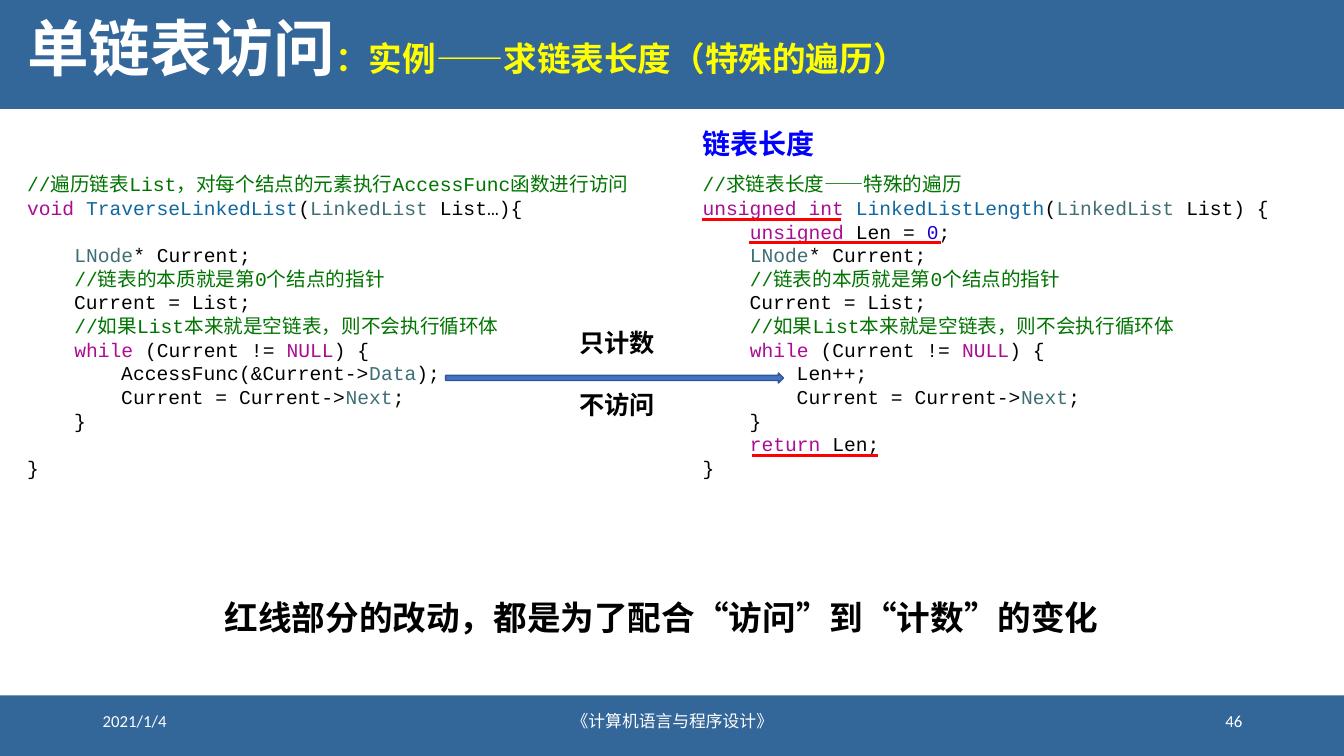
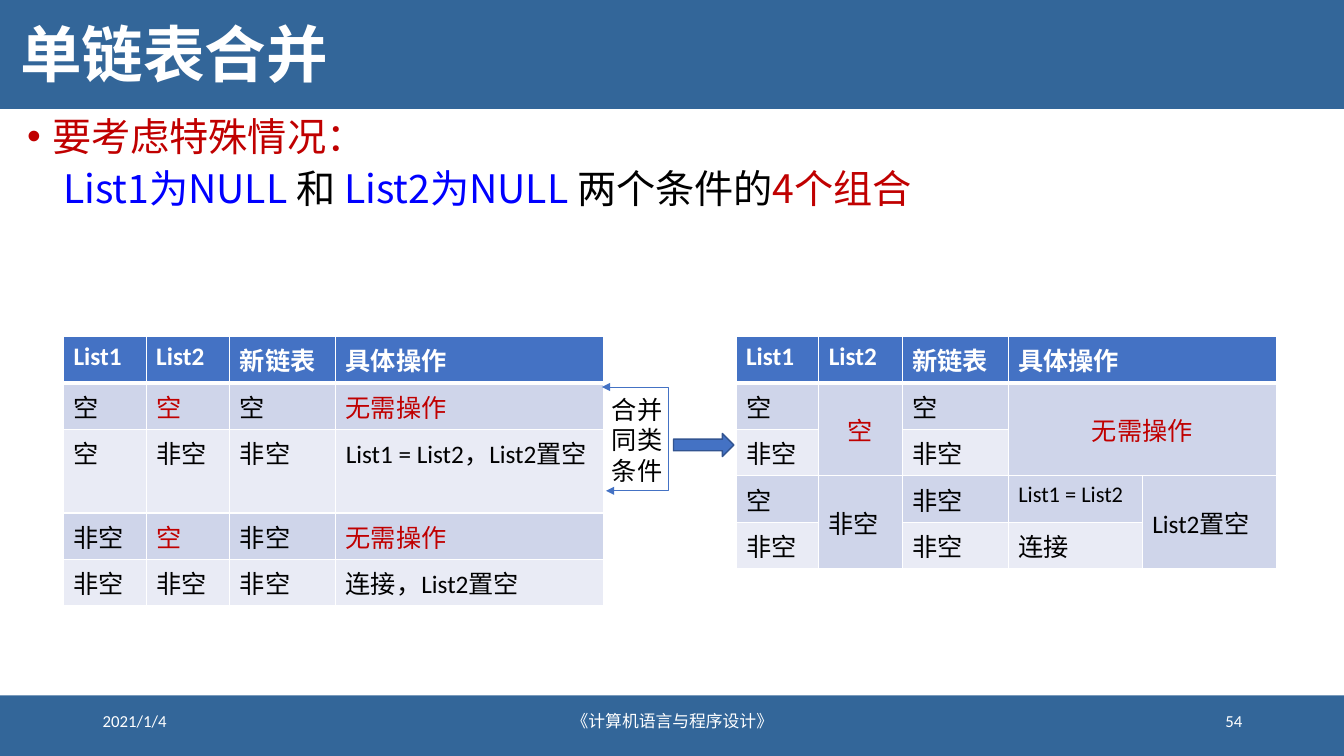
from lxml.etree import SubElement
from pptx import Presentation
from pptx.dml.color import RGBColor
from pptx.enum.shapes import MSO_CONNECTOR as LINK, MSO_SHAPE as SHAPE
from pptx.enum.text import MSO_ANCHOR as ANCHOR, PP_ALIGN as ALIGN
from pptx.oxml.ns import qn
from pptx.util import Inches, Pt

BAND = RGBColor(0x33, 0x66, 0x99)
WHITE = RGBColor(0xFF, 0xFF, 0xFF)
BLACK = RGBColor(0, 0, 0)
YELLOW = RGBColor(0xFF, 0xFF, 0)
RED = RGBColor(0xFF, 0, 0)
DARK_RED = RGBColor(0xC0, 0, 0)
BLUE = RGBColor(0, 0, 0xFF)
ACCENT = RGBColor(0x44, 0x72, 0xC4)
ARROW_EDGE = RGBColor(0x32, 0x54, 0x91)
ROW_DARK = RGBColor(0xCF, 0xD5, 0xEA)
ROW_LIGHT = RGBColor(0xE9, 0xEB, 0xF5)
COMMENT = RGBColor(0, 0x74, 0)
KEYWORD = RGBColor(0xAA, 0x0D, 0x91)
FUNCTION = RGBColor(0x0F, 0x68, 0xA0)
TYPE = RGBColor(0x3F, 0x6E, 0x74)
NUMBER = RGBColor(0x1C, 0, 0xCF)

CJK, LATIN, MONO = "Noto Sans CJK SC", "Calibri", "Courier New"
TITLE = {"name": CJK, "size": Pt(44), "bold": True, "color": WHITE}
SUBTITLE = {"size": Pt(24), "color": YELLOW}
FOOTER = {"name": LATIN, "size": Pt(12), "color": WHITE}
CODE = {"name": MONO, "size": Pt(14), "color": BLACK}
HEADING = {"name": CJK, "size": Pt(20), "bold": True, "color": BLUE}
BODY = {"name": CJK, "size": Pt(28), "color": BLACK}
PLAIN = {"name": LATIN, "size": Pt(18), "color": BLACK}
STRONG = {**PLAIN, "bold": True}
CONCLUSION = {**STRONG, "size": Pt(24)}
TABLE_HEAD = {**STRONG, "color": WHITE}
CODE_PITCH = Pt(16.86)

DATE, COURSE = "2021/1/4", "《计算机语言与程序设计》"

POINTER_LINES = [
    ["    ", ("LNode", TYPE), "* Current;"],
    ["    ", ("//链表的本质就是第0个结点的指针", COMMENT)],
    ["    Current = List;"],
    ["    ", ("//如果List本来就是空链表，则不会执行循环体", COMMENT)],
    ["    ", ("while", KEYWORD), " (Current != ", ("NULL", KEYWORD), ") {"],
]
NEXT_LINES = [
    ["        Current = Current->", ("Next", TYPE), ";"],
    ["    }"],
]
TRAVERSE_CODE = [
    [("//遍历链表List，对每个结点的元素执行AccessFunc函数进行访问", COMMENT)],
    [("void ", KEYWORD), ("TraverseLinkedList", FUNCTION), "(",
     ("LinkedList", TYPE), " List…){"],
    [],
    *POINTER_LINES,
    ["        AccessFunc(&Current->", ("Data", TYPE), ");"],
    *NEXT_LINES,
    [],
    ["}"],
]
LENGTH_CODE = [
    [("//求链表长度——特殊的遍历", COMMENT)],
    [("unsigned int ", KEYWORD), ("LinkedListLength", FUNCTION), "(",
     ("LinkedList", TYPE), " List) {"],
    ["    ", ("unsigned", KEYWORD), " Len = ", ("0", NUMBER), ";"],
    *POINTER_LINES,
    ["        Len++;"],
    *NEXT_LINES,
    ["    ", ("return", KEYWORD), " Len;"],
    ["}"],
]
CHANGE_UNDERLINES = [(6.96, 8.34, 2.18), (7.43, 9.33, 2.41), (7.46, 8.71, 4.52)]

SPECIAL_CASES = [
    [("要考虑特殊情况：", DARK_RED)],
    [("List1为NULL ", BLUE), "和 ", ("List2为NULL ", BLUE), "两个条件的",
     ("4个组合", DARK_RED)],
]
HEADERS = ["List1", "List2", "新链表", "具体操作"]
ALL_CASES = [
    HEADERS,
    ["空", ("空", DARK_RED), "空", ("无需操作", DARK_RED)],
    ["空", "非空", "非空", "List1 = List2，List2置空"],
    ["非空", ("空", DARK_RED), "非空", ("无需操作", DARK_RED)],
    ["非空", "非空", "非空", "连接，List2置空"],
]
MERGED_CASES = [
    HEADERS + [None],
    ["空", ("空", DARK_RED), "空", ("无需操作", DARK_RED), None],
    ["非空", None, "非空", None, None],
    ["空", "非空", "非空", ("List1 = List2", {"size": Pt(16)}), "List2置空"],
    ["非空", None, "非空", "连接", None],
]
MERGES = [
    ((0, 3), (0, 4), None),
    ((1, 1), (2, 1), ALIGN.CENTER),
    ((1, 3), (2, 4), ALIGN.CENTER),
    ((3, 1), (4, 1), ALIGN.LEFT),
    ((3, 4), (4, 4), ALIGN.LEFT),
]
ROW, TWO_LINE_ROW, TABLE_TOP = 0.46, 0.83, 3.34
ALL_HEIGHTS = [ROW, ROW, TWO_LINE_ROW, ROW, ROW]
MERGED_HEIGHTS = [ROW] * 5


def add_runs(paragraph, runs, base):
    for item in runs:
        text, change = item if isinstance(item, tuple) else (item, {})
        if isinstance(change, RGBColor):
            change = {"color": change}
        run = paragraph.add_run()
        run.text = text
        for key, value in {**base, **change}.items():
            if key == "color":
                run.font.color.rgb = value
            else:
                setattr(run.font, key, value)
        SubElement(run.font._element, qn("a:ea"), typeface=CJK)


def add_text(slide, box, paragraphs, base, anchor=ANCHOR.MIDDLE, wrap=True, **layout):
    frame = slide.shapes.add_textbox(*map(Inches, box)).text_frame
    frame.word_wrap = wrap
    frame.vertical_anchor = anchor
    for index, runs in enumerate(paragraphs):
        paragraph = frame.paragraphs[0] if index == 0 else frame.add_paragraph()
        for key, value in layout.items():
            setattr(paragraph, key, value)
        add_runs(paragraph, runs, base)
    return frame


def add_code(slide, box, lines):
    frame = add_text(slide, box, [line for line in lines if line], CODE,
                     ANCHOR.TOP, line_spacing=CODE_PITCH)
    paragraphs = iter(frame.paragraphs)
    for index, line in enumerate(lines):
        if line:
            paragraph = next(paragraphs)
            if index and not lines[index - 1]:
                paragraph.space_before = CODE_PITCH


def add_shape(slide, kind, box, fill, edge=None):
    shape = slide.shapes.add_shape(kind, *map(Inches, box))
    shape.shadow.inherit = False
    shape.fill.solid()
    shape.fill.fore_color.rgb = fill
    if edge is None:
        shape.line.fill.background()
    else:
        shape.line.color.rgb = edge
        shape.line.width = Pt(1)


def add_line(slide, kind, start, end, color, width):
    line = slide.shapes.add_connector(kind, *map(Inches, start + end))
    line.line.color.rgb = color
    line.line.width = Pt(width)
    SubElement(line._element.spPr, qn("a:effectLst"))
    return line


def add_slide(prs, title, title_box, number):
    slide = prs.slides.add_slide(prs.slide_layouts[6])
    for top, height in ((0, 1.08), (6.9, 0.6)):
        add_shape(slide, SHAPE.RECTANGLE, (0, top, 13.33, height), BAND)
    add_text(slide, title_box, [title], TITLE, line_spacing=0.9)
    for left, width, text, align in (
        (0.92, 3, DATE, ALIGN.LEFT),
        (4.42, 4.5, COURSE, ALIGN.CENTER),
        (9.42, 3, number, ALIGN.RIGHT),
    ):
        add_text(slide, (left, 6.95, width, 0.4), [[text]], FOOTER, alignment=align)
    return slide


def add_borders(cell, bottom):
    props = cell._tc.get_or_add_tcPr()
    for side, width in (("L", 1), ("R", 1), ("T", 1), ("B", bottom)):
        border = SubElement(props, qn(f"a:ln{side}"), w=str(Pt(width)))
        SubElement(SubElement(border, qn("a:solidFill")), qn("a:srgbClr"), val=str(WHITE))


def add_cases(slide, left, widths, heights, rows, merges=()):
    table = slide.shapes.add_table(
        len(rows), len(widths), Inches(left), Inches(TABLE_TOP),
        Inches(sum(widths)), Inches(sum(heights))).table
    for column, width in zip(table.columns, widths):
        column.width = Inches(width)
    for r, (row, height) in enumerate(zip(rows, heights)):
        table.rows[r].height = Inches(height)
        fill = ACCENT if r == 0 else ROW_DARK if r % 2 else ROW_LIGHT
        for c, content in enumerate(row):
            cell = table.cell(r, c)
            add_borders(cell, 1 if r else 3)
            cell.fill.solid()
            cell.fill.fore_color.rgb = fill
            if content:
                add_runs(cell.text_frame.paragraphs[0], [content],
                         PLAIN if r else TABLE_HEAD)
    for first, last, align in merges:
        cell = table.cell(*first)
        cell.merge(table.cell(*last))
        if align is not None:
            cell.vertical_anchor = ANCHOR.MIDDLE
            cell.text_frame.paragraphs[0].alignment = align


def add_merge_bracket(slide):
    start, end, turn = (6.01, 4.87), (5.97, 3.84), 6.63
    bracket = add_line(slide, LINK.ELBOW, start, end, ACCENT, 0.5)
    bend = round((turn - start[0]) / (end[0] - start[0]) * 100000)
    guides = bracket._element.spPr.find(qn("a:prstGeom")).get_or_add_avLst()
    SubElement(guides, qn("a:gd"), name="adj1", fmla=f"val {bend}")
    for tip in ("a:headEnd", "a:tailEnd"):
        SubElement(bracket.line._get_or_add_ln(), qn(tip), type="triangle")


def build_length_slide(prs):
    slide = add_slide(prs, ["单链表访问", ("：实例——求链表长度（特殊的遍历）", SUBTITLE)],
                      (0.17, 0, 12.87, 1.03), "46")
    add_code(slide, (6.87, 1.66, 5.97, 3.16), LENGTH_CODE)
    add_code(slide, (0.17, 1.66, 6.22, 3.16), TRAVERSE_CODE)
    for left, right, y in CHANGE_UNDERLINES:
        add_line(slide, LINK.STRAIGHT, (left, y), (right, y), RED, 2.25)
    counting = add_text(slide, (5.65, 3.2, 0.96, 1.01), [["只计数"], ["不访问"]],
                        STRONG, wrap=False)
    counting.paragraphs[1].space_before = Pt(23)
    add_shape(slide, SHAPE.RIGHT_ARROW, (4.42, 3.7, 3.35, 0.1), ACCENT, ARROW_EDGE)
    add_text(slide, (2.13, 5.87, 8.95, 0.5),
             [["红线部分的改动，都是为了配合“访问”到“计数”的变化"]], CONCLUSION, wrap=False)
    add_text(slide, (6.87, 1.2, 1.32, 0.44), [["链表长度"]], HEADING, wrap=False)


def build_merge_slide(prs):
    slide = add_slide(prs, ["单链表合并"], (0.1, 0.12, 12.32, 0.91), "54")
    cases = add_text(slide, (0.17, 1.16, 12.87, 1.08), SPECIAL_CASES, BODY,
                     ANCHOR.TOP, line_spacing=0.8)
    lead, detail = cases.paragraphs
    detail.space_before = Pt(10)
    for paragraph, margin, indent in ((lead, 0.25, -0.25), (detail, 0.36, 0)):
        props = paragraph._p.get_or_add_pPr()
        props.set("marL", str(Inches(margin)))
        props.set("indent", str(Inches(indent)))
    bullet = lead._p.get_or_add_pPr()
    SubElement(bullet, qn("a:buFont"), typeface="Arial")
    SubElement(bullet, qn("a:buChar"), char="•")
    add_cases(slide, 0.63, [0.82, 0.83, 1.05, 2.66], ALL_HEIGHTS, ALL_CASES)
    add_cases(slide, 7.3, [0.82, 0.83, 1.05, 1.33, 1.33], MERGED_HEIGHTS,
              MERGED_CASES, MERGES)
    add_merge_bracket(slide)
    add_text(slide, (5.97, 3.86, 0.71, 1.01), [["合并"], ["同类"], ["条件"]], PLAIN,
             wrap=False, line_spacing=Pt(21.5))
    add_shape(slide, SHAPE.RIGHT_ARROW, (6.68, 4.3, 0.6, 0.23), ACCENT, ARROW_EDGE)


def main():
    prs = Presentation()
    prs.slide_width, prs.slide_height = Inches(13.33), Inches(7.5)
    build_length_slide(prs)
    build_merge_slide(prs)
    prs.save("out.pptx")


if __name__ == "__main__":
    main()
